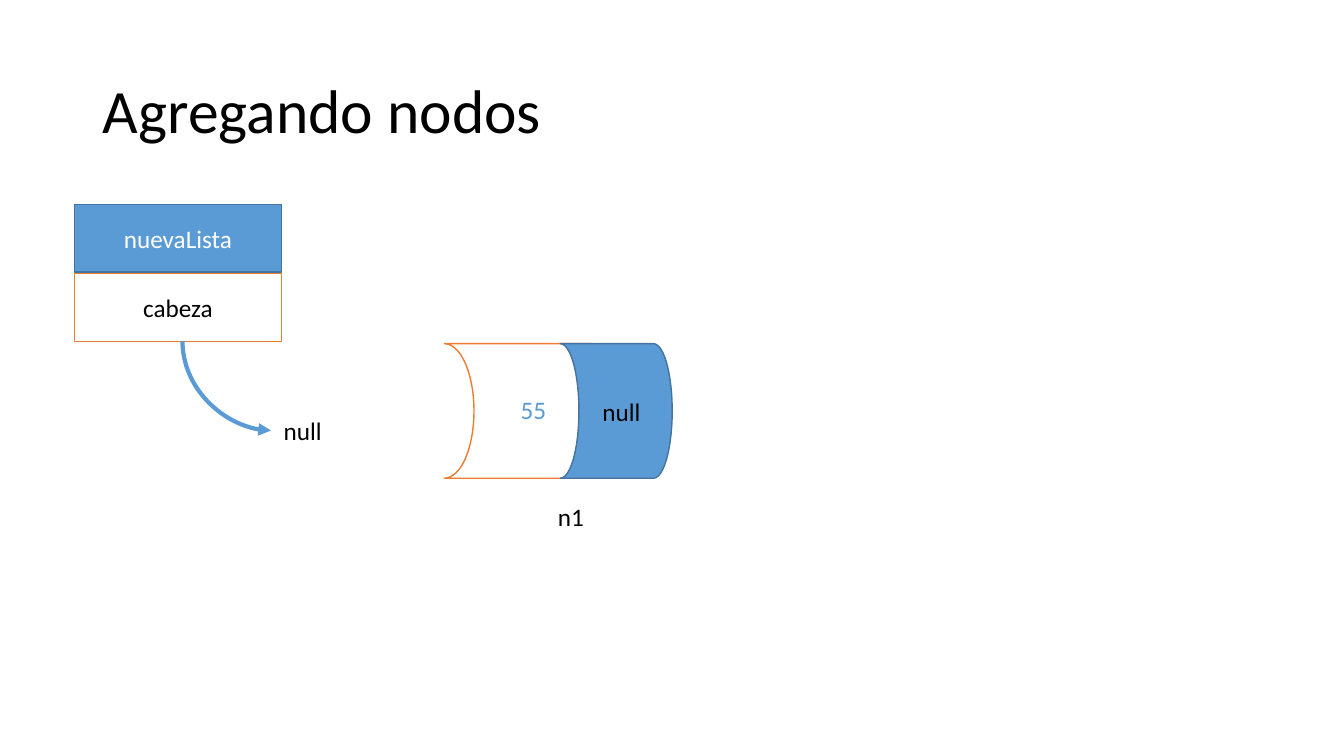
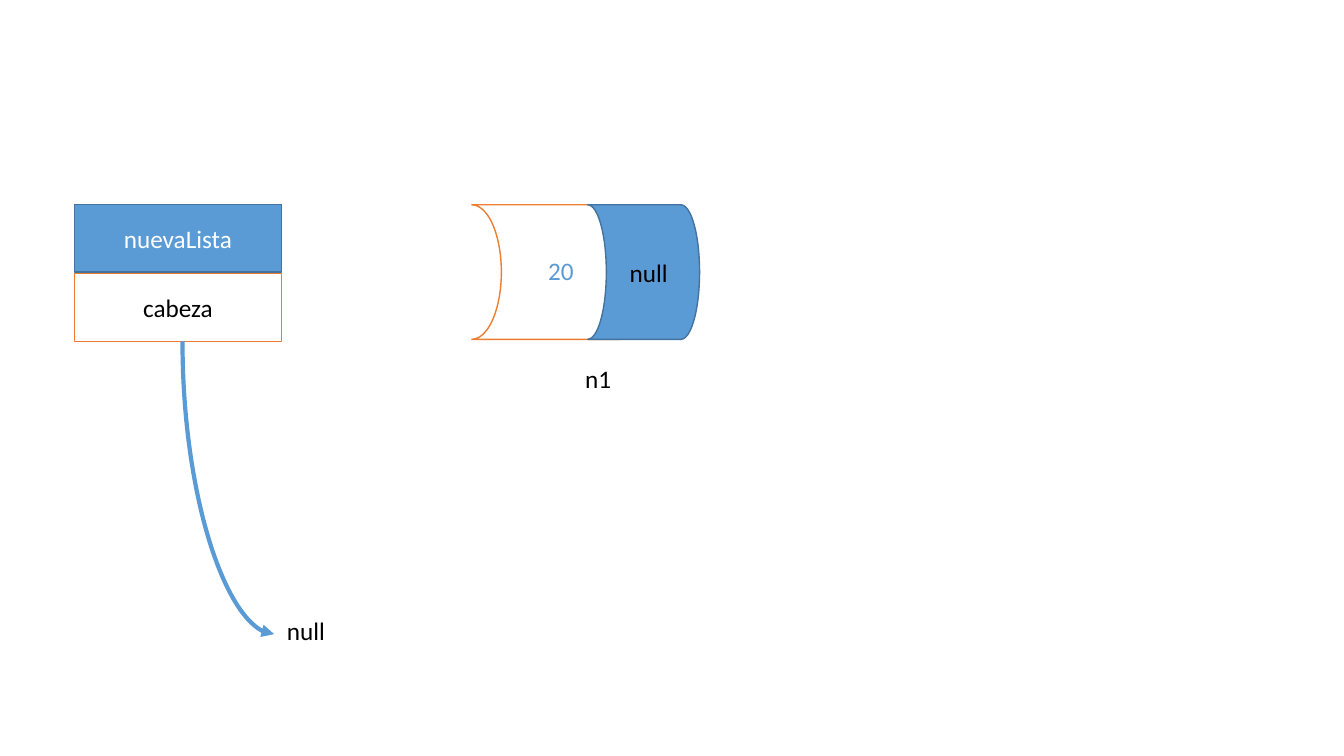
from dataclasses import dataclass

from lxml.etree import SubElement
from pptx import Presentation
from pptx.dml.color import RGBColor
from pptx.enum.shapes import MSO_CONNECTOR, MSO_SHAPE
from pptx.enum.text import MSO_ANCHOR, MSO_AUTO_SIZE, PP_ALIGN
from pptx.oxml.ns import qn
from pptx.shapes.autoshape import Shape
from pptx.shapes.group import GroupShape
from pptx.slide import Slide
from pptx.text.text import TextFrame
from pptx.util import Cm, Pt

FONT = "Calibri"
BLACK, WHITE = "000000", "FFFFFF"
BLUE, DARK_BLUE, ORANGE = "5B9BD5", "43739E", "ED7D31"

TITLE_ONLY, BLANK = 5, 6
LIST_LEFT, LIST_TOP = 1.88, 5.16
LIST_WIDTH, ROW_HEIGHT, ROW_STEP = 5.21, 1.7, 1.74
NODE_HEIGHT = 3.39
LABEL_HEIGHT = 1.02
POINTER_LEFT, POINTER_TOP = 4.6, 8.6


@dataclass(frozen=True)
class Style:
    fill: str
    line: str
    text: str


@dataclass(frozen=True)
class Box:
    left: float
    top: float
    width: float
    height: float


@dataclass(frozen=True)
class ListDiagram:
    value: str
    node_left: float
    node_top: float
    null_left: float
    arrow_end: float
    null_top: float
    title: str = ""


HEADER = Style(BLUE, DARK_BLUE, WHITE)
FIELD = Style(WHITE, ORANGE, BLACK)

DIAGRAMS = (
    ListDiagram("55", 11.2, 8.66, 6.83, 10.85, 10.34, "Agregando nodos"),
    ListDiagram("20", 11.89, 5.16, 6.91, 15.98, 15.37),
)


def rgb(value: str) -> RGBColor:
    return RGBColor.from_string(value)


def write(frame: TextFrame, text: str, size: int, color: str,
          align: PP_ALIGN = PP_ALIGN.CENTER) -> None:
    paragraph = frame.paragraphs[0]
    paragraph.alignment = align
    run = paragraph.add_run()
    run.text = text
    run.font.name = FONT
    run.font.size = Pt(size)
    run.font.color.rgb = rgb(color)


def add_title(slide: Slide, text: str) -> None:
    title = slide.shapes.title
    title.left, title.top = Cm(2.34), Cm(1.02)
    title.width, title.height = Cm(29.21), Cm(3.68)
    frame = title.text_frame
    frame.auto_size = MSO_AUTO_SIZE.NONE
    frame.vertical_anchor = MSO_ANCHOR.MIDDLE
    write(frame, text, 44, BLACK, PP_ALIGN.LEFT)
    frame.paragraphs[0].line_spacing = 0.9


def add_part(group: GroupShape, kind: MSO_SHAPE, box: Box, style: Style) -> Shape:
    part = group.shapes.add_shape(
        kind, Cm(box.left), Cm(box.top), Cm(box.width), Cm(box.height))
    part.shadow.inherit = False
    part.fill.solid()
    part.fill.fore_color.rgb = rgb(style.fill)
    part.line.color.rgb = rgb(style.line)
    part.line.width = Pt(1)
    return part


def add_label(slide: Slide, text: str, left: float, top: float,
              width: float, color: str = BLACK) -> None:
    label = slide.shapes.add_textbox(Cm(left), Cm(top), Cm(width), Cm(LABEL_HEIGHT))
    label.text_frame.word_wrap = False
    label.text_frame.auto_size = MSO_AUTO_SIZE.SHAPE_TO_FIT_TEXT
    write(label.text_frame, text, 18, color)


def add_list(slide: Slide) -> None:
    group = slide.shapes.add_group_shape()
    for index, (name, style) in enumerate((("nuevaLista", HEADER), ("cabeza", FIELD))):
        box = Box(LIST_LEFT, LIST_TOP + index * ROW_STEP, LIST_WIDTH, ROW_HEIGHT)
        row = add_part(group, MSO_SHAPE.RECTANGLE, box, style)
        row.text_frame.vertical_anchor = MSO_ANCHOR.MIDDLE
        write(row.text_frame, name, 18, style.text)


def add_node(slide: Slide, value: str, left: float, top: float) -> None:
    group = slide.shapes.add_group_shape()
    for offset, width, style in ((0, 4.47, FIELD), (2.92, 2.82, HEADER)):
        box = Box(left + offset, top, width, NODE_HEIGHT)
        add_part(group, MSO_SHAPE.FLOWCHART_STORED_DATA, box, style).rotation = 180
    add_label(slide, "n1", left + 2.59, top + 3.86, 1.19)
    add_label(slide, "null", left + 3.66, top + 1.19, 1.6)
    add_label(slide, value, left + 1.65, top + 1.14, 1.19, BLUE)


def add_pointer(slide: Slide, end_left: float, end_top: float) -> None:
    half_run = (end_left - POINTER_LEFT) / 2
    half_drop = (end_top - POINTER_TOP) / 2
    middle, center = POINTER_LEFT + half_run, POINTER_TOP + half_drop
    pointer = slide.shapes.add_connector(
        MSO_CONNECTOR.CURVE,
        Cm(middle + half_drop), Cm(center - half_run),
        Cm(middle - half_drop), Cm(center + half_run))
    pointer.line.color.rgb = rgb(BLUE)
    pointer.line.width = Pt(3)
    properties = pointer._element.spPr
    properties.find(qn("a:xfrm")).set("rot", str(270 * 60000))
    properties.find(qn("a:prstGeom")).set("prst", "curvedConnector2")
    SubElement(properties.find(qn("a:ln")), qn("a:tailEnd"), type="triangle")
    SubElement(properties, qn("a:effectLst"))


def main() -> None:
    deck = Presentation()
    deck.slide_width, deck.slide_height = Cm(33.87), Cm(19.05)
    for diagram in DIAGRAMS:
        layout = deck.slide_layouts[TITLE_ONLY if diagram.title else BLANK]
        slide = deck.slides.add_slide(layout)
        if diagram.title:
            add_title(slide, diagram.title)
        add_list(slide)
        add_node(slide, diagram.value, diagram.node_left, diagram.node_top)
        add_pointer(slide, diagram.null_left, diagram.arrow_end)
        add_label(slide, "null", diagram.null_left, diagram.null_top, 1.6)
    deck.save("out.pptx")


if __name__ == "__main__":
    main()
